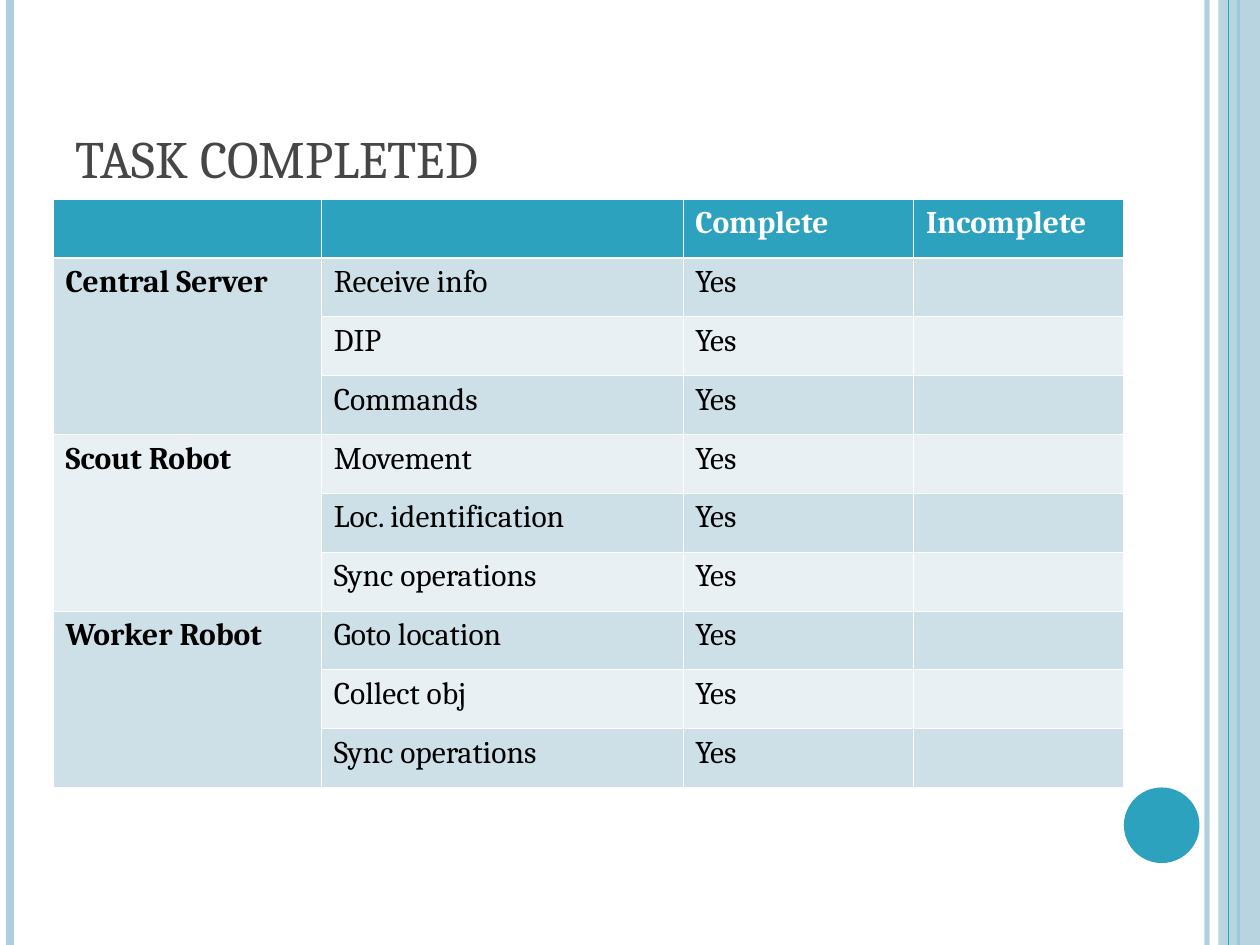
from dataclasses import dataclass

from lxml import etree
from pptx import Presentation
from pptx.dml.color import RGBColor
from pptx.enum.shapes import MSO_CONNECTOR, MSO_SHAPE
from pptx.enum.text import MSO_ANCHOR
from pptx.oxml import parse_xml
from pptx.oxml.ns import nsdecls, qn
from pptx.util import Inches, Pt

STRAIGHT = MSO_CONNECTOR.STRAIGHT
RECTANGLE, OVAL = MSO_SHAPE.RECTANGLE, MSO_SHAPE.OVAL
BOTTOM = MSO_ANCHOR.BOTTOM

TEAL = RGBColor(0x2D, 0xA2, 0xBF)
PALE_BLUE = RGBColor(0xAD, 0xCE, 0xDC)
DARK_BAND = RGBColor(0xCD, 0xE0, 0xE8)
LIGHT_BAND = RGBColor(0xE8, 0xF0, 0xF4)
GREY = RGBColor(0x46, 0x46, 0x46)
BLACK = RGBColor(0, 0, 0)
WHITE = RGBColor(0xFF, 0xFF, 0xFF)

FONT = "Cambria"
SLIDE_HEIGHT = 7.5
THIN, THICK = 0.45, 1.47


@dataclass
class Stripe:
    x: float
    color: RGBColor
    width: float
    opacity: int = 100


@dataclass
class Unit:
    name: str
    tasks: tuple[str, ...]


BACK_STRIPES = (
    Stripe(9.58, PALE_BLUE, 3, 93),
    Stripe(0.08, PALE_BLUE, 4.5),
    Stripe(9.83, TEAL, 1.5),
)
FRONT_STRIPE = Stripe(9.75, TEAL, 0.75)

HEADINGS = ("", "", "Complete", "Incomplete")
COLUMN_WIDTHS = (2.13, 2.87, 1.83, 1.67)
ROW_HEIGHT = 0.467
UNITS = (
    Unit("Central Server", ("Receive info", "DIP", "Commands")),
    Unit("Scout Robot", ("Movement", "Loc. identification", "Sync operations")),
    Unit("Worker Robot", ("Goto location", "Collect obj", "Sync operations")),
)


def set_opacity(element, percent: int) -> None:
    color = next(element.iter(qn("a:srgbClr")))
    etree.SubElement(color, qn("a:alpha")).set("val", str(percent * 1000))


def draw_stripe(slide, stripe: Stripe) -> None:
    x = Inches(stripe.x)
    line = slide.shapes.add_connector(STRAIGHT, x, 0, x, Inches(SLIDE_HEIGHT))
    line.line.color.rgb = stripe.color
    line.line.width = Pt(stripe.width)
    properties = line._element.spPr
    etree.SubElement(properties, qn("a:effectLst"))
    if stripe.opacity < 100:
        set_opacity(properties, stripe.opacity)


def draw_solid(slide, preset, left: float, top: float, width: float,
               height: float, color: RGBColor):
    solid = slide.shapes.add_shape(
        preset, Inches(left), Inches(top), Inches(width), Inches(height))
    solid.shadow.inherit = False
    solid.fill.solid()
    solid.fill.fore_color.rgb = color
    solid.line.fill.background()
    return solid


def format_text(text_frame, size: float, color: RGBColor, bold: bool = False) -> None:
    for run in text_frame.paragraphs[0].runs:
        run.font.name = FONT
        run.font.size = Pt(size)
        run.font.bold = bold
        run.font.color.rgb = color


def set_borders(cell, top: float, bottom: float) -> None:
    sides = (("lnL", THIN), ("lnR", THIN), ("lnT", top), ("lnB", bottom))
    for index, (tag, width) in enumerate(sides):
        border = parse_xml(
            f'<a:{tag} {nsdecls("a")} w="{Pt(width)}"><a:solidFill>'
            f'<a:srgbClr val="{WHITE}"/></a:solidFill></a:{tag}>')
        cell._tc.get_or_add_tcPr().insert(index, border)


def fill_cell(cell, text: str, row: int, fill: RGBColor, color: RGBColor,
              bold: bool) -> None:
    cell.text_frame.text = text
    format_text(cell.text_frame, 18, color, bold)
    cell.fill.solid()
    cell.fill.fore_color.rgb = fill
    # The rule under the heading row is heavier than the others
    set_borders(cell, THICK if row == 1 else THIN, THICK if row == 0 else THIN)


def draw_tasks(slide, left: float, top: float) -> None:
    row_count = 1 + sum(len(unit.tasks) for unit in UNITS)
    tasks = slide.shapes.add_table(
        row_count, len(HEADINGS), Inches(left), Inches(top),
        Inches(sum(COLUMN_WIDTHS)), Inches(row_count * ROW_HEIGHT)).table
    for column, width in zip(tasks.columns, COLUMN_WIDTHS):
        column.width = Inches(width)
    for table_row in tasks.rows:
        table_row.height = Inches(ROW_HEIGHT)

    for column, heading in enumerate(HEADINGS):
        fill_cell(tasks.cell(0, column), heading, 0, TEAL, WHITE, True)

    row = 1
    for unit in UNITS:
        first_row = row
        for task in unit.tasks:
            band = DARK_BAND if row % 2 else LIGHT_BAND
            name = unit.name if row == first_row else ""
            for column, text in enumerate((name, task, "Yes", "")):
                fill_cell(tasks.cell(row, column), text, row, band, BLACK, column == 0)
            row += 1
        tasks.cell(first_row, 0).merge(tasks.cell(row - 1, 0))


def main() -> None:
    presentation = Presentation()
    presentation.slide_width = Inches(10)
    presentation.slide_height = Inches(SLIDE_HEIGHT)
    slide = presentation.slides.add_slide(presentation.slide_layouts[6])

    # Side decoration
    for stripe in BACK_STRIPES:
        draw_stripe(slide, stripe)
    side_band = draw_solid(slide, RECTANGLE, 9.67, 0, 0.33, SLIDE_HEIGHT, PALE_BLUE)
    set_opacity(side_band._element.spPr, 87)
    draw_stripe(slide, FRONT_STRIPE)
    draw_solid(slide, OVAL, 8.92, 6.25, 0.6, 0.6, TEAL)

    # Title
    title = slide.shapes.add_textbox(
        Inches(0.5), Inches(0.3), Inches(8.17), Inches(1.25)).text_frame
    title.word_wrap = True
    title.vertical_anchor = BOTTOM
    title.text = "TASK COMPLETED"
    format_text(title, 30, GREY)

    # Task table
    draw_tasks(slide, 0.42, 1.58)

    presentation.save("out.pptx")


if __name__ == "__main__":
    main()
